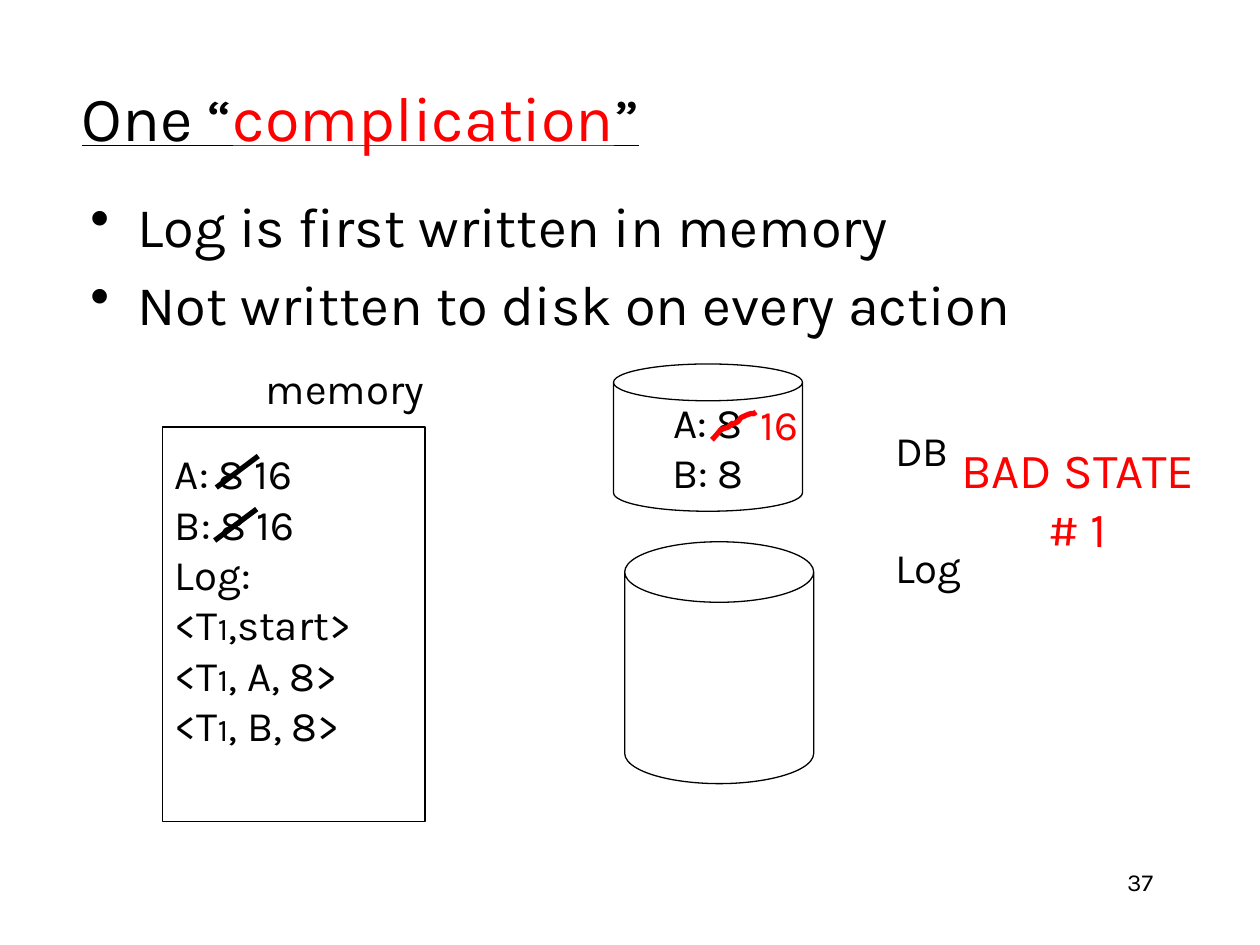
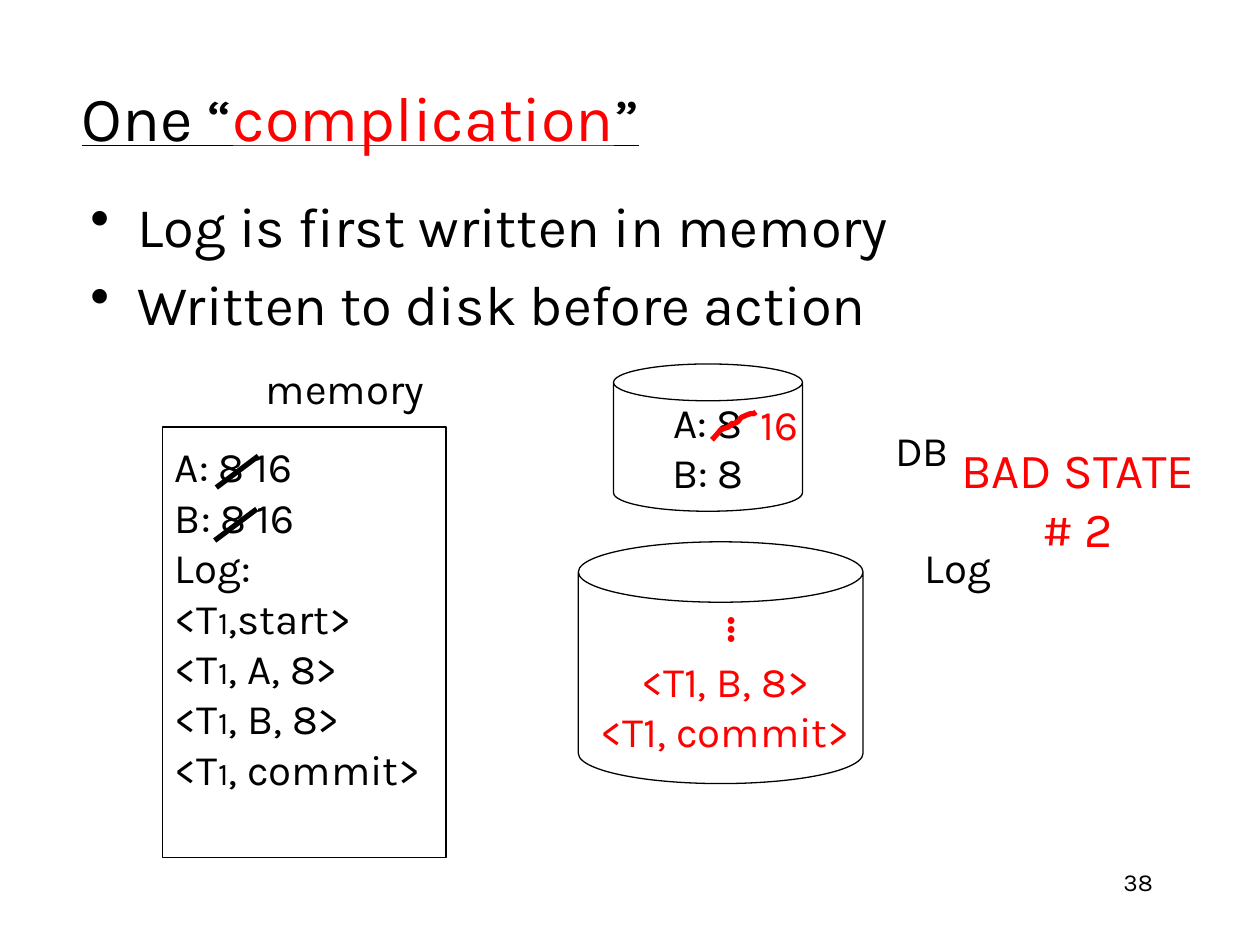
from dataclasses import dataclass
from typing import NamedTuple, Optional

from pptx import Presentation
from pptx.dml.color import RGBColor
from pptx.enum.shapes import MSO_CONNECTOR as CONN, MSO_SHAPE as SHAPE
from pptx.enum.text import MSO_ANCHOR as ANCHOR, PP_ALIGN as ALIGN
from pptx.oxml.ns import qn
from pptx.util import Pt
from lxml.etree import SubElement

COLORS = {"ink": "000000", "paper": "FFFFFF", "alert": "FF0000"}
FONT = "Karla"
BODY_SIZE = 24
LINE_HEIGHT = 28.8
INSET = (7.2, 3.6, 7.2, 3.6)
NO_INSET = (0, 0, 0, 0)


class Box(NamedTuple):
    """Left, top, width and height in points."""
    x: float
    y: float
    w: float
    h: float


class Run(NamedTuple):
    """A piece of text that may differ from its paragraph."""
    text: str
    size: Optional[float] = None
    color: Optional[str] = None


@dataclass
class Style:
    """Look of all paragraphs in one text frame."""
    size: float = BODY_SIZE
    color: str = "ink"
    align: ALIGN = ALIGN.LEFT
    anchor: ANCHOR = ANCHOR.MIDDLE
    inset: tuple = INSET
    bold: bool = False
    underline: bool = False
    bullet: bool = False


@dataclass
class State:
    """What one slide shows of the crash scenario."""
    page: int
    rule: str
    memory_box: Box
    last_entries: list
    log_disk: Box
    log_rim: float
    log_label_x: float
    disk_entries: list


CENTERED = Style(align=ALIGN.CENTER)
ALERT = Style(color="alert", align=ALIGN.CENTER)
LABEL = Style(inset=NO_INSET)
TITLE = Style(size=36, underline=True)
BULLETS = Style(size=32, anchor=ANCHOR.TOP, bullet=True)
FOOTER = Style(size=14, align=ALIGN.RIGHT, anchor=ANCHOR.TOP)
MEMORY = Style(inset=(7.2, 3.6, 7.2, 3.6 + LINE_HEIGHT))

STRIKE_START = (406.8, 251.3)
STRIKE_CURVES = [
    [(413.3, 244.8), (409.7, 246.2), (416.2, 244.1)],
    [(421.2, 239), (414.7, 244.8), (421.2, 241.2)],
    [(422.6, 240.5), (422.6, 239), (424.1, 238.3)],
    [(433.4, 234), (428.4, 238.3), (432, 235.4)],
]


def rgb(name: str) -> RGBColor:
    """Look up a named colour."""
    return RGBColor.from_string(COLORS[name])


def add_bullet(p) -> None:
    """Give a paragraph a hanging round bullet."""
    p.space_before = Pt(6.4)
    pPr = p._p.get_or_add_pPr()
    pPr.set("marL", str(Pt(27)))
    pPr.set("indent", str(-Pt(27)))
    bullet = pPr.makeelement(qn("a:buChar"), {"char": "•"})
    pPr.insert_element_before(bullet, "a:tabLst", "a:defRPr", "a:extLst")


def write(s, lines: list, style: Style) -> None:
    """Fill a shape with paragraphs, each a string or a list of runs."""
    tf = s.text_frame
    tf.word_wrap = True
    tf.vertical_anchor = style.anchor
    tf.margin_left, tf.margin_top, tf.margin_right, tf.margin_bottom = map(Pt, style.inset)
    for i, line in enumerate(lines):
        p = tf.add_paragraph() if i else tf.paragraphs[0]
        p.alignment = style.align
        font = p.font
        font.name, font.size = FONT, Pt(style.size)
        font.bold, font.underline = style.bold, style.underline
        font.color.rgb = rgb(style.color)
        if style.bullet:
            add_bullet(p)
        for run in [Run(line)] if isinstance(line, str) else line:
            r = p.add_run()
            r.text = run.text
            if run.size:
                r.font.size = Pt(run.size)
            if run.color:
                r.font.color.rgb = rgb(run.color)


def add_text(sp, box: Box, lines: list, style: Style):
    """Add a text box."""
    s = sp.add_textbox(*map(Pt, box))
    write(s, lines, style)
    return s


def add_outline(sp, kind: SHAPE, box: Box, lines: list, style: Style = CENTERED):
    """Add a white shape with a thin black outline."""
    s = sp.add_shape(kind, *map(Pt, box))
    s.shadow.inherit = False
    s.fill.solid()
    s.fill.fore_color.rgb = rgb("paper")
    s.line.color.rgb = rgb("ink")
    s.line.width = Pt(0.75)
    if lines:
        write(s, lines, style)
    return s


def add_disk(sp, box: Box, rim: float, lines: list) -> None:
    """Add a disk drawn as a can."""
    add_outline(sp, SHAPE.CAN, box, lines).adjustments[0] = rim


def add_strike(sp, x: float, y: float) -> None:
    """Cross out a value with a thick black line from its upper right end."""
    s = sp.add_connector(CONN.STRAIGHT, Pt(x), Pt(y), Pt(x - 24), Pt(y + 18))
    s.line.color.rgb = rgb("ink")
    s.line.width = Pt(3)
    SubElement(s._element.spPr, qn("a:effectLst"))


def curve_points(start: tuple, curves: list, steps: int = 8) -> list:
    """Sample joined cubic curves."""
    points = []
    for a, b, end in curves:
        for i in range(1, steps + 1):
            t = i / steps
            u = 1 - t
            points.append(tuple(
                u**3 * p0 + 3 * u * u * t * p1 + 3 * u * t * t * p2 + t**3 * p3
                for p0, p1, p2, p3 in zip(start, a, b, end)))
        start = end
    return points


def add_hand_strike(sp) -> None:
    """Cross out the value on the database disk by hand in red."""
    builder = sp.build_freeform(*map(Pt, STRIKE_START), scale=1.0)
    points = curve_points(STRIKE_START, STRIKE_CURVES)
    builder.add_line_segments([(Pt(x), Pt(y)) for x, y in points], close=False)
    s = builder.convert_to_shape()
    s.shadow.inherit = False
    s.fill.background()
    s.line.color.rgb = rgb("alert")
    s.line.width = Pt(3)


def log_entry(rest: str) -> list:
    """Write a log record of transaction T1 with a small index."""
    return [Run("<T"), Run("1", size=18), Run(rest)]


def add_frame(sp, state: State) -> None:
    """Add page number, title and bullets."""
    add_text(sp, Box(516, 491.8, 150, 36), [str(state.page)], FOOTER)
    title = [Run("One “"), Run("complication", color="alert"), Run("”")]
    add_text(sp, Box(39.6, 21.6, 612, 90), [title], TITLE)
    add_text(sp, Box(44.6, 105.8, 612, 100),
             ["Log is first written in memory", state.rule], BULLETS)


def add_memory(sp, state: State) -> None:
    """Add the memory contents with the old values crossed out."""
    add_text(sp, Box(152, 207, 100, LINE_HEIGHT), ["memory"], LABEL)
    entries = [",start>", ", A, 8>", ", B, 8>"] + state.last_entries
    lines = ["A: 8 16", "B: 8 16", "Log:"] + [log_entry(e) for e in entries]
    add_outline(sp, SHAPE.RECTANGLE, state.memory_box, lines, MEMORY)
    for x, y in [(147.6, 260.6), (146.7, 290.9)]:
        add_strike(sp, x, y)


def add_disks(sp, state: State) -> None:
    """Add the database and log disks with their labels."""
    add_text(sp, Box(511.5, 242.5, 60, LINE_HEIGHT), ["DB"], LABEL)
    add_text(sp, Box(state.log_label_x, 309.5, 60, LINE_HEIGHT), ["Log"], LABEL)
    add_disk(sp, Box(350.6, 208, 108, 84.2), 0.25, ["A: 8", "B: 8"])
    add_disk(sp, state.log_disk, state.log_rim, [])
    add_hand_strike(sp)
    add_text(sp, Box(424.8, 223.9, 41, 36), ["16"], ALERT)
    if state.disk_entries:
        add_text(sp, Box(329.8, 370.8, 169.2, 64.8), state.disk_entries, ALERT)
        dots = Style(color="alert", align=ALIGN.CENTER, bold=True)
        add_text(sp, Box(391.7, 342, 36.7, 36), ["..."], dots).rotation = 270


def add_state(prs, number: int, state: State) -> None:
    """Build one slide."""
    sp = prs.slides.add_slide(prs.slide_layouts[6]).shapes
    add_frame(sp, state)
    add_memory(sp, state)
    add_disks(sp, state)
    add_text(sp, Box(537.8, 247.7, 156.2, 74.2), ["BAD STATE", f"# {number}"],
             Style(size=28, color="alert", align=ALIGN.CENTER))


STATES = [
    State(page=37, rule="Not written to disk on every action",
          memory_box=Box(92.9, 244, 150, 225.3), last_entries=[],
          log_disk=Box(357, 309.6, 108, 138.2), log_rim=0.32,
          log_label_x=511.5, disk_entries=[]),
    State(page=38, rule="Written to disk before action",
          memory_box=Box(92.9, 244, 162, 246.2), last_entries=[", commit>"],
          log_disk=Box(330.5, 309.6, 162.7, 138.2), log_rim=0.25,
          log_label_x=528.5, disk_entries=["<T1, B, 8>", "<T1, commit>"]),
]

prs = Presentation()
prs.slide_width, prs.slide_height = Pt(720), Pt(540)
for number, state in enumerate(STATES, 1):
    add_state(prs, number, state)
prs.save("out.pptx")
